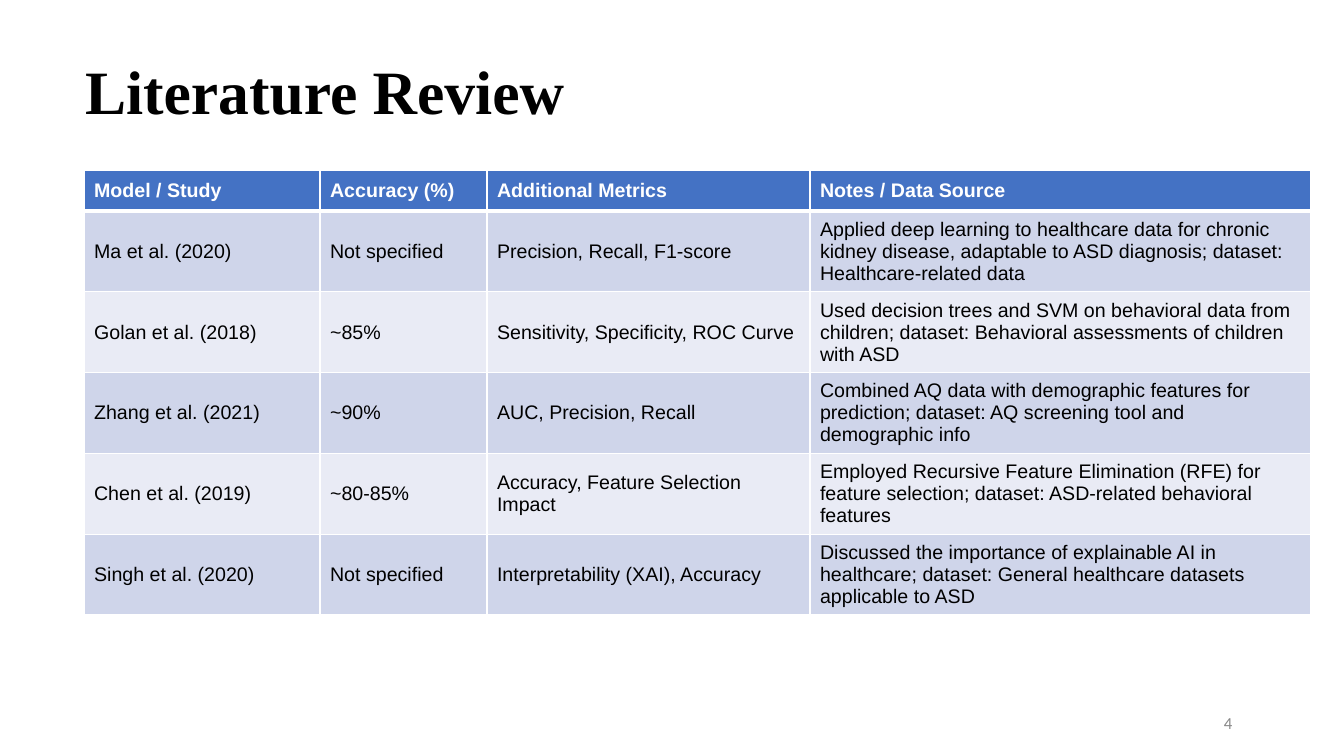
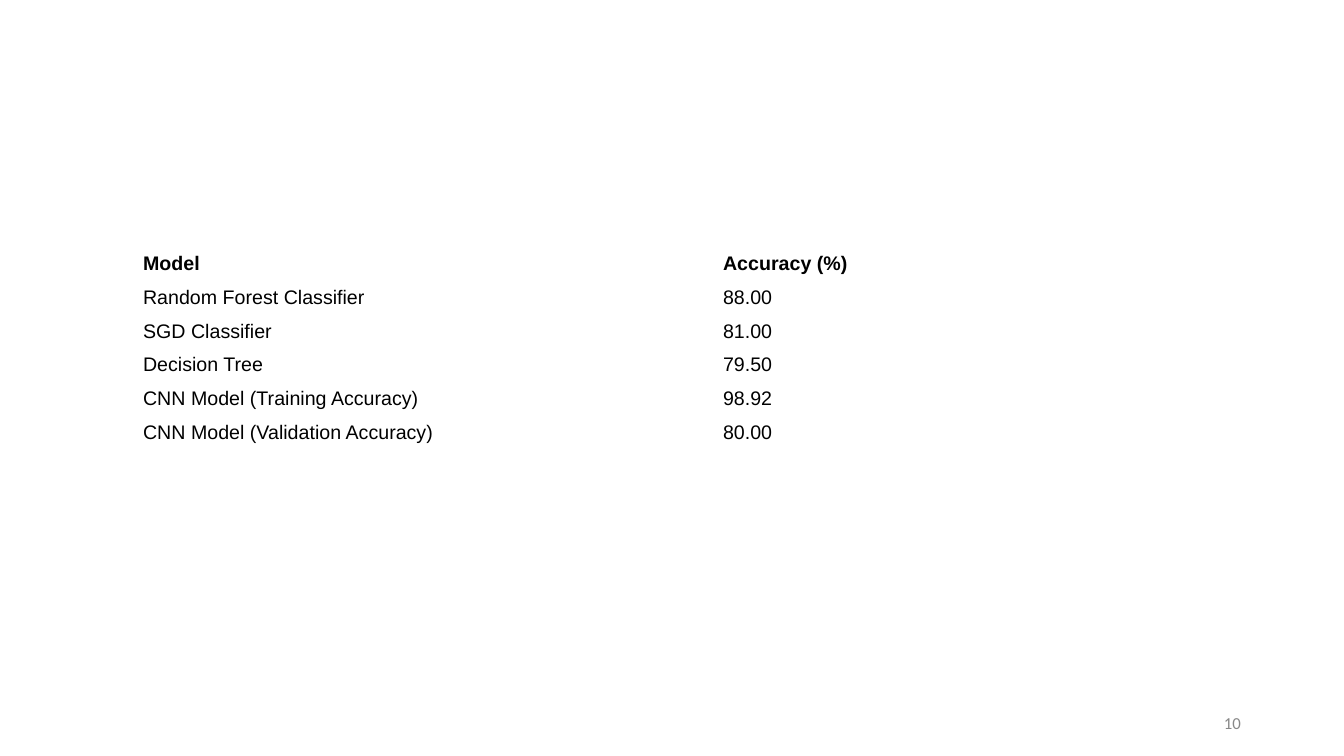
from dataclasses import dataclass

from lxml.etree import SubElement
from pptx import Presentation
from pptx.dml.color import RGBColor
from pptx.enum.text import MSO_ANCHOR
from pptx.oxml.ns import qn
from pptx.util import Emu, Pt

PX = 914400 / 100.8


@dataclass(frozen=True)
class Theme:
    ink: str = "000000"
    paper: str = "FFFFFF"
    muted: str = "888888"
    header: str = "4472C4"
    bands: tuple = ("CFD5EA", "E9EBF5")
    title_font: str = "Times New Roman"
    body_font: str = "Arial"
    number_font: str = "Calibri"
    title_size: int = 44
    body_size: int = 14
    number_size: int = 12


theme = Theme()


def px(*lengths):
    return [Emu(round(length * PX)) for length in lengths]


def write(frame, text, font, size, color, bold=False):
    para = frame.paragraphs[0]
    para.text = text
    para.font.name, para.font.size, para.font.bold = font, Pt(size), bold
    para.font.color.rgb = RGBColor.from_string(color)
    return para


# Content
studies = [
    ("Model / Study", "Accuracy (%)", "Additional Metrics", "Notes / Data Source"),
    ("Ma et al. (2020)", "Not specified", "Precision, Recall, F1-score",
     "Applied deep learning to healthcare data for chronic kidney disease, "
     "adaptable to ASD diagnosis; dataset: Healthcare-related data"),
    ("Golan et al. (2018)", "~85%", "Sensitivity, Specificity, ROC Curve",
     "Used decision trees and SVM on behavioral data from children; "
     "dataset: Behavioral assessments of children with ASD"),
    ("Zhang et al. (2021)", "~90%", "AUC, Precision, Recall",
     "Combined AQ data with demographic features for prediction; "
     "dataset: AQ screening tool and demographic info"),
    ("Chen et al. (2019)", "~80-85%", "Accuracy, Feature Selection Impact",
     "Employed Recursive Feature Elimination (RFE) for feature selection; "
     "dataset: ASD-related behavioral features"),
    ("Singh et al. (2020)", "Not specified", "Interpretability (XAI), Accuracy",
     "Discussed the importance of explainable AI in healthcare; "
     "dataset: General healthcare datasets applicable to ASD"),
]
results = [
    ("Model", "Accuracy (%)"),
    ("Random Forest Classifier", "88.00"),
    ("SGD Classifier", "81.00"),
    ("Decision Tree", "79.50"),
    ("CNN Model (Training Accuracy)", "98.92"),
    ("CNN Model (Validation Accuracy)", "80.00"),
]
# Number, title, rows, table area, column widths, header height, styled
pages = [
    ("4", "Literature Review", studies, (84, 170, 1227, 445), (236, 167, 323, 501), 41, True),
    ("10", None, results, (133, 247, 1160, 202), (580, 580), 34, False),
]

deck = Presentation()
deck.slide_width, deck.slide_height = px(1344, 756)

for number, title, rows, area, widths, header_height, styled in pages:
    page = deck.slides.add_slide(deck.slide_layouts[6])

    # Page number and title
    labels = [(number, (1220, 713, 27, 19), (4, 0), theme.number_font,
               theme.number_size, theme.muted, False)]
    if title:
        labels.append((title, (84, 52, 900, 76), (1, 1), theme.title_font,
                       theme.title_size, theme.ink, True))
    for text, place, (left, top), *style in labels:
        frame = page.shapes.add_textbox(*px(*place)).text_frame
        frame.word_wrap = True
        frame.margin_left, frame.margin_top = px(left, top)
        frame.margin_right = frame.margin_bottom = 0
        write(frame, text, *style)

    # Table grid
    table = page.shapes.add_table(len(rows), len(widths), *px(*area)).table
    table.first_row = table.horz_banding = False
    for column, width in zip(table.columns, px(*widths)):
        column.width = width
    body_height = (area[3] - header_height) / (len(rows) - 1)
    for index, row in enumerate(table.rows):
        row.height = px(body_height if index else header_height)[0]

    # Table cells
    for index, values in enumerate(rows):
        is_header = index == 0
        for cell, text in zip(table.rows[index].cells, values):
            color = theme.paper if styled and is_header else theme.ink
            write(cell.text_frame, text, theme.body_font, theme.body_size, color, is_header)
            cell.vertical_anchor = MSO_ANCHOR.MIDDLE
            if not styled:
                cell.fill.background()
                continue
            # Borders come before the fill in the cell properties
            properties = cell._tc.get_or_add_tcPr()
            for side in ("lnL", "lnR", "lnT", "lnB"):
                thick = (is_header and side == "lnB") or (index == 1 and side == "lnT")
                line = SubElement(properties, qn(f"a:{side}"), w=str(Pt(3 if thick else 1)))
                solid = SubElement(line, qn("a:solidFill"))
                SubElement(solid, qn("a:srgbClr"), val=theme.paper)
            cell.fill.solid()
            fill = theme.header if is_header else theme.bands[(index - 1) % 2]
            cell.fill.fore_color.rgb = RGBColor.from_string(fill)

deck.save("out.pptx")
